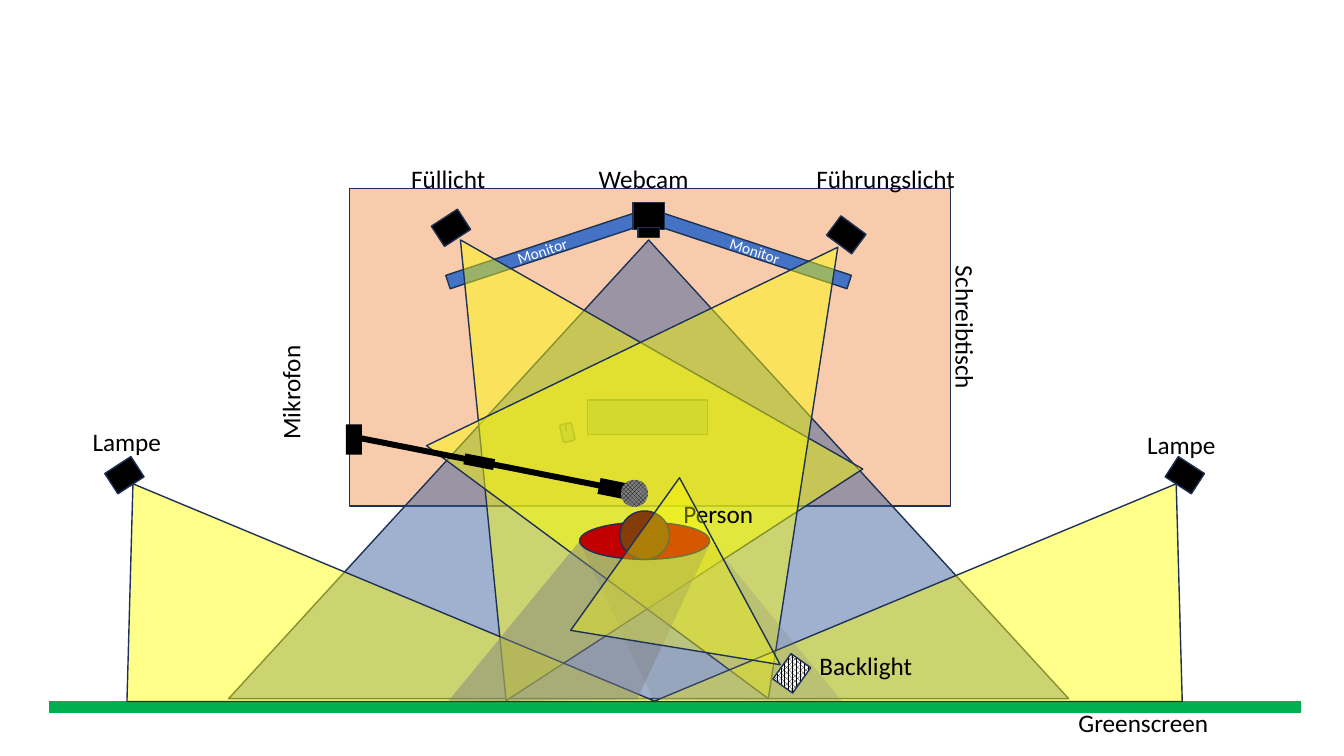
from lxml import etree
from pptx import Presentation
from pptx import util as u
from pptx.dml.color import RGBColor
from pptx.enum import dml, shapes, text
from pptx.oxml import ns

Pt = u.Pt
KIND = shapes.MSO_SHAPE
PATTERN = dml.MSO_PATTERN_TYPE
FONT = "Calibri"
COLORS = {
    "black": "000000", "white": "FFFFFF", "outline": "1E3256",
    "desk": "F8CBAD", "grey": "A6A6A6", "shade": "808080",
    "green": "00B050", "monitor": "4472C4", "view": "2F5597",
    "light": "FFFF00", "body": "C00000", "hair": "843C0B",
}
LAMP_W, LAMP_H = 22.3, 17.3
LABEL_H = 28.8


def color(name):
    return RGBColor.from_string(COLORS[name])


def paint(sp, fill, alpha=None, line="outline", pattern=None, back=None):
    sp.shadow.inherit = False
    if pattern is None:
        sp.fill.solid()
    else:
        sp.fill.patterned()
        sp.fill.pattern = pattern
        sp.fill.back_color.rgb = color(back)
    sp.fill.fore_color.rgb = color(fill)
    if alpha is not None:
        clr = sp._element.spPr.find(ns.qn("a:solidFill"))[0]
        etree.SubElement(clr, ns.qn("a:alpha")).set("val", str(alpha * 1000))
    if line:
        sp.line.color.rgb = color(line)
        sp.line.width = Pt(1)
    else:
        sp.line.fill.background()


def part(parts, kind, x, y, w, h, fill, rot=0, **style):
    sp = parts.add_shape(kind, Pt(x), Pt(y), Pt(w), Pt(h))
    sp.rotation = rot
    paint(sp, fill, **style)
    return sp


def polygon(parts, points, fill, **style):
    start, *rest = [(Pt(x), Pt(y)) for x, y in points]
    builder = parts.build_freeform(*start, scale=1.0)
    builder.add_line_segments(rest, close=True)
    paint(builder.convert_to_shape(), fill, **style)


def add_run(p, words, size, name):
    r = p.add_run()
    r.text = words
    r.font.name = FONT
    r.font.size = Pt(size)
    r.font.color.rgb = color(name)


def label(s, words, x, y, w, rot=0):
    sp = s.shapes.add_textbox(Pt(x), Pt(y), Pt(w), Pt(LABEL_H))
    sp.rotation = rot
    tf = sp.text_frame
    tf.word_wrap = False
    tf.auto_size = text.MSO_AUTO_SIZE.SHAPE_TO_FIT_TEXT
    add_run(tf.paragraphs[0], words, 18, "black")


def desk(s, x, y, w, h):
    part(s.shapes, KIND.RECTANGLE, x, y, w, h, "desk")
    part(s.shapes, KIND.RECTANGLE, x + 170, y + 151.2, 85.7, 24.5, "grey")
    mouse = s.shapes.add_group_shape().shapes
    part(mouse, KIND.ROUNDED_RECTANGLE, x + 151.2, y + 167.8, 8.6, 13, "grey", rot=346.9)
    wheel = mouse.add_connector(shapes.MSO_CONNECTOR.STRAIGHT, Pt(x + 154.1),
                                Pt(y + 167.8), Pt(x + 154.8), Pt(y + 173.6))
    wheel.line.color.rgb = color("outline")
    wheel.line.width = Pt(1)
    etree.SubElement(wheel._element.spPr, ns.qn("a:effectLst"))


def monitors(s, cx, y, w, h):
    for side, rot in ((-1, 341.7), (1, 18.3)):
        sp = part(s.shapes, KIND.RECTANGLE, cx + side * 76 - w / 2, y, w, h, "monitor", rot=rot)
        tf = sp.text_frame
        tf.vertical_anchor = text.MSO_ANCHOR.MIDDLE
        p = tf.paragraphs[0]
        p.alignment = text.PP_ALIGN.CENTER
        add_run(p, "Monitor", 11, "white")


def webcam(s, cx, y):
    part(s.shapes, KIND.RECTANGLE, cx - 11.1, y, 22.3, 19.4, "black")
    part(s.shapes, KIND.ISOSCELES_TRIANGLE, cx - 300, y + 26.7, 600, 327.6, "view", alpha=46)


def spotlight(s, lamp, beam, rot, alpha=46, **style):
    parts = s.shapes.add_group_shape().shapes
    part(parts, KIND.RECTANGLE, *lamp, LAMP_W, LAMP_H, "black", rot=rot, **style)
    part(parts, KIND.ISOSCELES_TRIANGLE, *beam, "light", rot=rot, alpha=alpha)


def floor_lamp(s, x, y, floor, side):
    parts = s.shapes.add_group_shape().shapes
    part(parts, KIND.RECTANGLE, x + side * 6.1 - LAMP_W / 2, y - 14.8, LAMP_W, LAMP_H,
         "black", rot=side * 33)
    points = [(x, y), (x + side * 4.3, floor), (x - side * 373.4, floor)]
    polygon(parts, points, "light", alpha=46)


def person(s, cx, y, floor):
    for side, alpha in ((1, 22), (-1, 46)):
        outline = [(-46.8, y + 22.4), (5.8, floor - 1.4), (140.8, floor), (46.8, y + 21.6)]
        polygon(s.shapes, [(cx + side * dx, py) for dx, py in outline],
                "shade", alpha=alpha, line=None)
    parts = s.shapes.add_group_shape().shapes
    part(parts, KIND.OVAL, cx - 46.8, y + 8, 92.9, 26.6, "body")
    part(parts, KIND.OVAL, cx - 18, y, 35.3, 34.6, "hair")


def microphone(s, x, y):
    parts = s.shapes.add_group_shape().shapes
    for dx, dy, w, h, rot in ((0, 0, 11.5, 21.6, 0), (7.2, 24.5, 175.7, 4.3, 11.2),
                              (185.7, 35.3, 11.5, 21.6, 281.3)):
        part(parts, KIND.RECTANGLE, x + dx, y + dy, w, h, "black", rot=rot, line=None)
    part(parts, KIND.OVAL, x + 196.5, y + 39.6, 19.4, 19.4, "black", line=None,
         pattern=PATTERN.TRELLIS, back="shade")
    part(parts, KIND.RECTANGLE, x + 91.4, y + 15.9, 7.9, 21.6, "black", rot=281, line=None)


def studio(s):
    cx, floor = 463.3, 501.1
    desk(s, 249.8, 134.6, 429.1, 226.8)
    part(s.shapes, KIND.RECTANGLE, 35.3, floor, 893.5, 7.9, "green", line="green")
    monitors(s, cx, 174.2, 141.8, 10.1)
    webcam(s, cx, 144.7)
    spotlight(s, (311, 154.1), (257, 147.6, 303.8, 293.8), 327)
    spotlight(s, (593.3, 159.1), (360.7, 148.3, 303.8, 288.7), 36.5)
    floor_lamp(s, 95, 345.6, floor, -1)
    floor_lamp(s, 840.2, 345.6, floor, 1)
    for words, x, y, w, rot in (
        ("Webcam", 420.5, 113, 79.2, 0),
        ("Füllicht", 286.6, 113, 68.4, 0),
        ("Führungslicht", 576, 113, 114.5, 0),
        ("Lampe", 59, 301, 64.1, 0),
        ("Lampe", 812.2, 303.1, 64.1, 0),
        ("Person", 481, 352.1, 64.8, 0),
        ("Schreibtisch", 637.9, 220.3, 103.7, 90),
    ):
        label(s, words, x, y, w, rot)
    person(s, 460.8, 365, floor)
    part(s.shapes, KIND.RECTANGLE, cx - 7.5, 162.7, 15.1, 7.2, "black")
    microphone(s, 247, 303.1)
    label(s, "Mikrofon", 166.3, 265.7, 82.1, 270)
    label(s, "Greenscreen", 763.2, 501.8, 108.7)
    spotlight(s, (554.4, 472.3), (434.9, 367.2, 133.9, 136.1), 125.5, alpha=34,
              pattern=PATTERN.PERCENT_75, back="white")
    label(s, "Backlight", 578.2, 460.8, 81.4)


def main():
    prs = Presentation()
    prs.slide_width, prs.slide_height = Pt(960), Pt(540)
    studio(prs.slides.add_slide(prs.slide_layouts[6]))
    prs.save("out.pptx")


if __name__ == "__main__":
    main()
